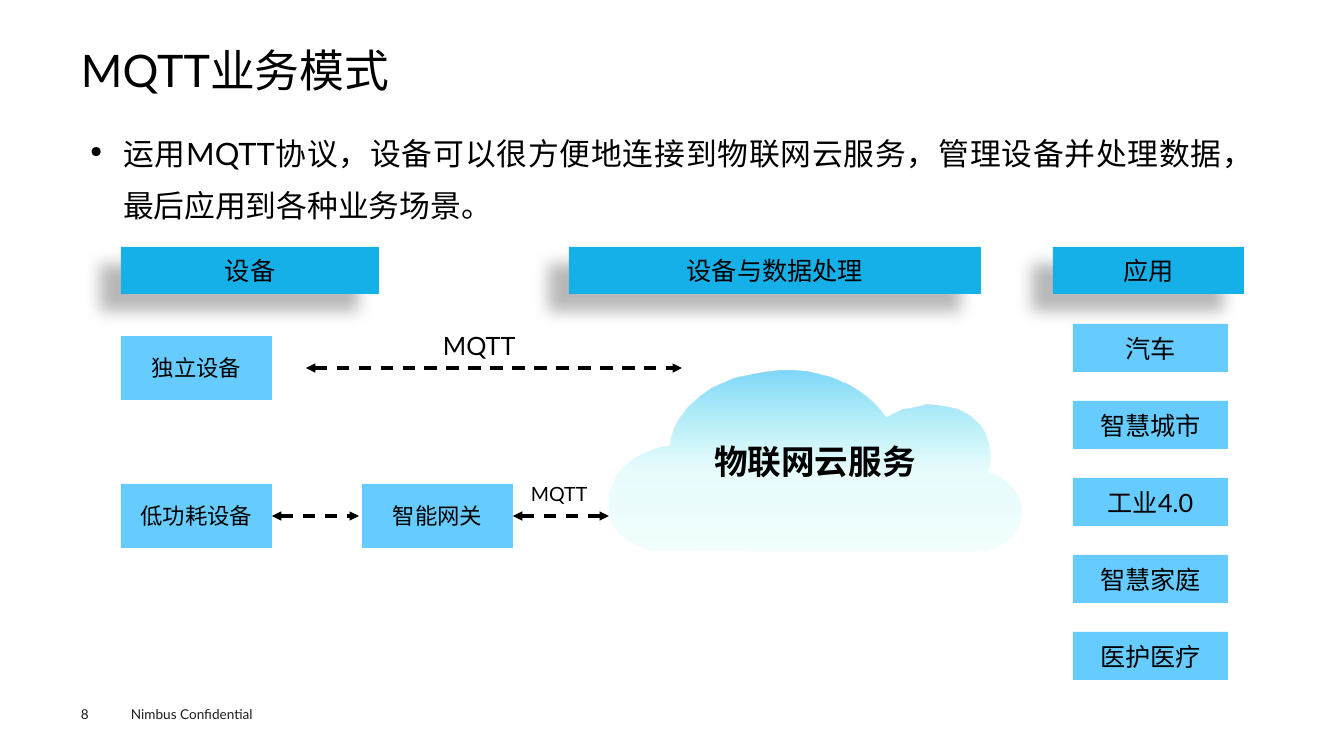
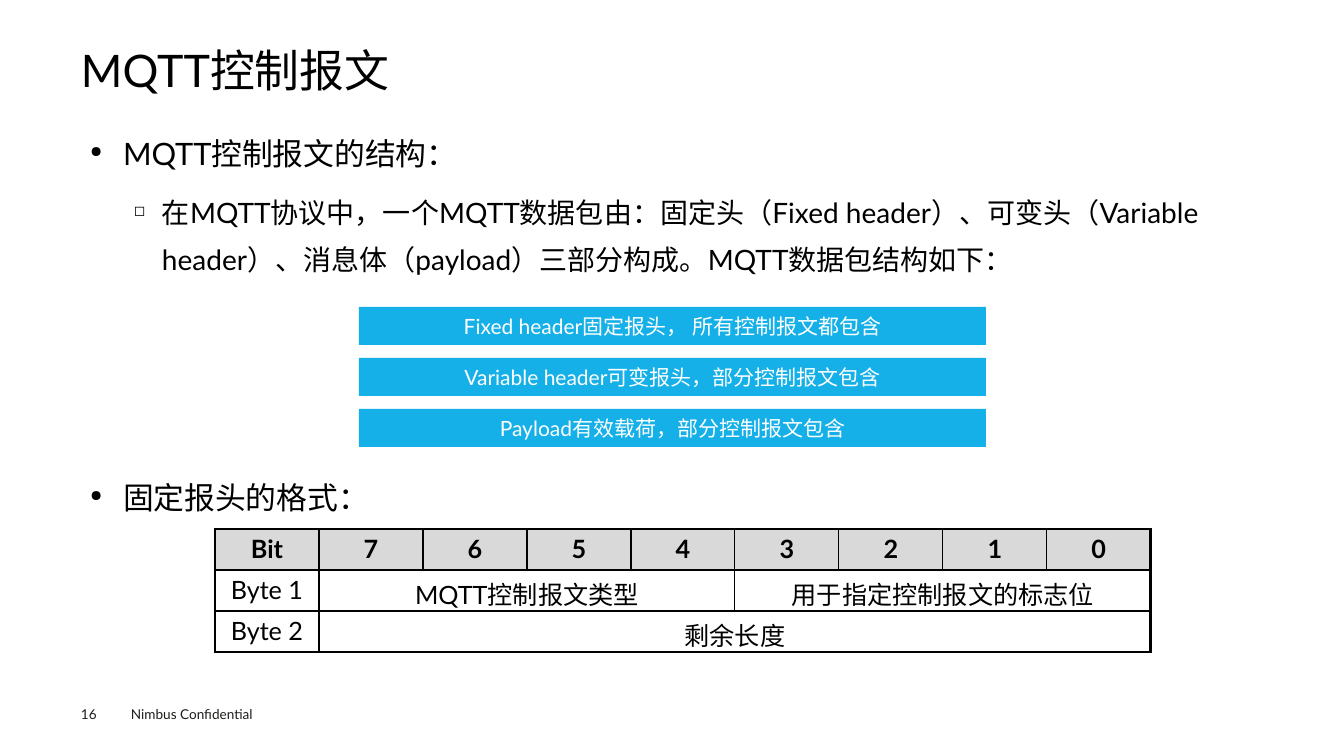
from dataclasses import dataclass

from lxml.etree import SubElement
from pptx import Presentation
from pptx.dml.color import RGBColor as RGB
from pptx.enum.dml import MSO_LINE_DASH_STYLE as Dash
from pptx.enum.shapes import MSO_CONNECTOR as Connector, MSO_SHAPE as Preset
from pptx.enum.text import MSO_ANCHOR as Anchor, MSO_AUTO_SIZE as AutoSize, PP_ALIGN as Align
from pptx.oxml.ns import qn
from pptx.util import Pt

EMU_PER_PX = 914400 / 100.8
RIGHT_SIDE = 3


def px(length):
    return round(length * EMU_PER_PX)


def add_xml(parent, tag, **attributes):
    return SubElement(parent, qn(tag), {key: str(value) for key, value in attributes.items()})


@dataclass(frozen=True)
class Theme:
    font: str = "Lato"
    ink: str = "000000"
    footer_ink: str = "1D1D1B"
    white: str = "FFFFFF"
    band: str = "15B0E8"
    node: str = "66CCFF"
    table_head: str = "D9D9D9"
    cloud_stops: tuple = ((0, "00B0F0", 50), (55, "21DFE9", 10), (100, "21DFE9", 5))
    title_size: float = 32
    cloud_size: float = 24
    bullet_size: float = 22
    sub_size: float = 20
    label_size: float = 18
    node_size: float = 16
    bar_size: float = 15
    small_size: float = 14
    footer_size: float = 9.7
    thick_line: float = 2.25
    thin_line: float = 1


class Deck:
    TITLE_ONLY = 5
    CONTENT_LEFT, CONTENT_WIDTH = 81, 1182
    # size field, left indent, hanging indent, space before, bullet, alignment
    LEVELS = (
        ("bullet_size", 33, 33, 7.9, "●", Align.JUSTIFY),
        ("sub_size", 72, 28, 7.2, "◻", Align.LEFT),
    )

    def __init__(self, theme):
        self.theme = theme
        self.prs = Presentation()
        self.prs.slide_width, self.prs.slide_height = px(1344), px(756)
        self.slide = None

    def style(self, paragraph, size, color=None, bold=False):
        font = paragraph.font
        font.name, font.size, font.bold = self.theme.font, Pt(size), bold
        font.color.rgb = RGB.from_string(color or self.theme.ink)

    def new_slide(self, title, number):
        self.slide = self.prs.slides.add_slide(self.prs.slide_layouts[self.TITLE_ONLY])
        heading = self.slide.shapes.title
        heading.left, heading.top = px(self.CONTENT_LEFT), px(49)
        heading.width, heading.height = px(self.CONTENT_WIDTH), px(53)
        frame = heading.text_frame
        frame.text = title
        frame.auto_size, frame.vertical_anchor = AutoSize.NONE, Anchor.TOP
        self.set_margins(frame, 0, 0)
        paragraph = frame.paragraphs[0]
        paragraph.alignment, paragraph.line_spacing = Align.LEFT, 0.9
        self.style(paragraph, self.theme.title_size)
        footer = dict(size=self.theme.footer_size, color=self.theme.footer_ink)
        page = self.text(str(number), 81, 706, 55, 16, **footer)
        self.set_margins(page, 0, 0)
        self.text("Nimbus Confidential", 121, 701, 161, 27, **footer)

    @staticmethod
    def set_margins(frame, side, end):
        frame.margin_left = frame.margin_right = px(side)
        frame.margin_top = frame.margin_bottom = px(end)

    def text(self, words, left, top, width, height, size, color=None):
        area = self.slide.shapes.add_textbox(px(left), px(top), px(width), px(height))
        frame = area.text_frame
        frame.word_wrap = True
        frame.text = words
        self.style(frame.paragraphs[0], size, color)
        return frame

    def bullets(self, items, top, height):
        """Add bulleted text; items are (level, words) pairs."""
        area = self.slide.shapes.add_textbox(
            px(self.CONTENT_LEFT), px(top), px(self.CONTENT_WIDTH), px(height))
        frame = area.text_frame
        frame.word_wrap = True
        self.set_margins(frame, 9, 4)
        for index, (level, words) in enumerate(items):
            size, indent, hanging, before, mark, alignment = self.LEVELS[level]
            paragraph = frame.add_paragraph() if index else frame.paragraphs[0]
            paragraph.text, paragraph.level = words, level
            paragraph.alignment, paragraph.line_spacing = alignment, 1.4
            if index:
                paragraph.space_before = Pt(before)
            properties = paragraph._p.get_or_add_pPr()
            properties.set("marL", str(px(indent)))
            properties.set("indent", str(-px(hanging)))
            add_xml(properties, "a:buSzPct", val=50000)
            add_xml(properties, "a:buChar", char=mark)
            self.style(paragraph, getattr(self.theme, size))

    def fill_with_label(self, shape, words, size, color=None, bold=False):
        shape.shadow.inherit = False
        shape.line.fill.background()
        frame = shape.text_frame
        frame.text, frame.word_wrap = words, True
        frame.vertical_anchor = Anchor.MIDDLE
        frame.paragraphs[0].alignment = Align.CENTER
        self.style(frame.paragraphs[0], size, color, bold)

    def box(self, words, left, top, width, height, fill, size, color=None):
        shape = self.slide.shapes.add_shape(
            Preset.RECTANGLE, px(left), px(top), px(width), px(height))
        shape.fill.solid()
        shape.fill.fore_color.rgb = RGB.from_string(fill)
        self.fill_with_label(shape, words, size, color)
        return shape

    def column_header(self, words, left, width):
        header = self.box(words, left, 247, width, 47, self.theme.band, self.theme.label_size)
        effects = header._element.spPr.find(qn("a:effectLst"))
        shadow = add_xml(effects, "a:outerShdw", blurRad=Pt(11.8), dist=Pt(19.7),
                         dir=141 * 60000, algn="tr", rotWithShape=0)
        color = add_xml(shadow, "a:srgbClr", val=self.theme.ink)
        add_xml(color, "a:alpha", val=28000)

    def cloud(self, words, outline):
        builder = self.slide.shapes.build_freeform(*outline[0], scale=EMU_PER_PX)
        builder.add_line_segments(outline[1:], close=True)
        shape = builder.convert_to_shape()
        shape.fill.gradient()
        shape.fill.gradient_angle = 270
        stops = shape._element.spPr.find(".//" + qn("a:gsLst"))
        for stop in list(stops):
            stops.remove(stop)
        for position, hue, opacity in self.theme.cloud_stops:
            stop = add_xml(stops, "a:gs", pos=position * 1000)
            color = add_xml(stop, "a:srgbClr", val=hue)
            add_xml(color, "a:alpha", val=opacity * 1000)
        self.fill_with_label(shape, words, self.theme.cloud_size, bold=True)

    def two_way_arrow(self, start, end, y, source=None):
        arrow = self.slide.shapes.add_connector(
            Connector.STRAIGHT, px(start), px(y), px(end), px(y))
        if source is not None:
            arrow.begin_connect(source, RIGHT_SIDE)
        line = arrow.line
        line.color.rgb = RGB.from_string(self.theme.ink)
        line.width, line.dash_style = Pt(self.theme.thick_line), Dash.DASH
        outline = arrow._element.spPr.find(qn("a:ln"))
        for tip in ("a:headEnd", "a:tailEnd"):
            add_xml(outline, tip, type="triangle")
        add_xml(arrow._element.spPr, "a:effectLst")

    def borders(self, cell, outer):
        """Draw the cell's four edges, thick on the sides named in outer."""
        properties = cell._tc.get_or_add_tcPr()
        for side in "LRTB":
            weight = self.theme.thick_line if side in outer else self.theme.thin_line
            edge = add_xml(properties, f"a:ln{side}", w=Pt(weight))
            add_xml(add_xml(edge, "a:solidFill"), "a:srgbClr", val=self.theme.ink)

    def table(self, rows, left, top, column_width, row_height):
        """Add a table; each row is a list of (words, column span) pairs."""
        columns = sum(span for _, span in rows[0])
        grid = self.slide.shapes.add_table(
            len(rows), columns, px(left), px(top),
            px(column_width * columns), px(row_height * len(rows))).table
        grid.horz_banding = False
        for column in grid.columns:
            column.width = px(column_width)
        for r, row in enumerate(rows):
            c = 0
            for words, span in row:
                sides = {"L": c == 0, "R": c + span == columns,
                         "T": r == 0, "B": r == len(rows) - 1}
                outer = [side for side, is_outer in sides.items() if is_outer]
                for offset in range(span):
                    cell = grid.cell(r, c + offset)
                    self.borders(cell, outer)
                    cell.fill.solid()
                    cell.fill.fore_color.rgb = RGB.from_string(
                        self.theme.white if r else self.theme.table_head)
                origin = grid.cell(r, c)
                if span > 1:
                    origin.merge(grid.cell(r, c + span - 1))
                origin.text = words
                paragraph = origin.text_frame.paragraphs[0]
                paragraph.alignment = Align.CENTER
                self.style(paragraph, self.theme.label_size, bold=r == 0)
                c += span


CLOUD_OUTLINE = [
    (962, 552), (653, 551), (645, 548), (637, 545), (628, 541), (619, 533), (613, 524),
    (610, 516), (609, 505), (610, 493), (613, 485), (618, 475), (623, 469), (633, 460),
    (643, 454), (654, 450), (662, 447), (671, 446), (671, 439), (674, 430), (679, 420),
    (688, 408), (699, 398), (711, 389), (722, 384), (734, 379), (747, 376), (763, 373),
    (779, 371), (793, 371), (807, 372), (820, 375), (831, 378), (841, 382), (850, 386),
    (858, 391), (870, 400), (879, 409), (886, 418), (893, 414), (902, 410), (913, 408),
    (926, 405), (939, 406), (955, 409), (962, 412), (969, 416), (979, 425), (985, 434),
    (988, 444), (990, 454), (989, 467), (987, 472), (993, 475), (1000, 478), (1007, 483),
    (1013, 489), (1018, 497), (1021, 507), (1020, 519), (1017, 528), (1012, 536),
    (1004, 543), (994, 548), (983, 551), (970, 552),
]


def build_business_model(deck):
    theme = deck.theme
    deck.new_slide("MQTT业务模式", 8)
    deck.bullets([(0, "运用MQTT协议，设备可以很方便地连接到物联网云服务，管理设备并处理数据，"
                      "最后应用到各种业务场景。")], 116, 120)
    for words, left, width in (("设备", 121, 258), ("设备与数据处理", 569, 412), ("应用", 1053, 191)):
        deck.column_header(words, left, width)
    _, low_power, gateway = [
        deck.box(words, left, top, 151, 64, theme.node, theme.node_size)
        for words, left, top in (("独立设备", 121, 336), ("低功耗设备", 121, 484), ("智能网关", 362, 484))
    ]
    deck.cloud("物联网云服务", CLOUD_OUTLINE)
    for index, words in enumerate(("汽车", "智慧城市", "工业4.0", "智慧家庭", "医护医疗")):
        deck.box(words, 1073, 324 + 77 * index, 155, 48, theme.node, theme.label_size)
    deck.two_way_arrow(306, 682, 368)
    deck.two_way_arrow(272, 359, 516, source=low_power)
    deck.two_way_arrow(513, 609, 516, source=gateway)
    deck.text("MQTT", 433, 325, 218, 53, theme.label_size)
    deck.text("MQTT", 521, 477, 218, 53, theme.small_size)


def build_control_packet(deck):
    theme = deck.theme
    deck.new_slide("MQTT控制报文", 16)
    deck.bullets([
        (0, "MQTT控制报文的结构："),
        (1, "在MQTT协议中，一个MQTT数据包由：固定头（Fixed header）、可变头（Variable header）、"
            "消息体（payload）三部分构成。MQTT数据包结构如下："),
    ], 116, 180)
    deck.bullets([(0, "固定报头的格式：")], 460, 60)
    parts = ("Fixed header固定报头， 所有控制报文都包含",
             "Variable header可变报头，部分控制报文包含",
             "Payload有效载荷，部分控制报文包含")
    for index, words in enumerate(parts):
        deck.box(words, 359, 307 + 51 * index, 627, 38, theme.band, theme.bar_size, theme.white)
    deck.table([
        [("Bit", 1)] + [(str(bit), 1) for bit in range(7, -1, -1)],
        [("Byte 1", 1), ("MQTT控制报文类型", 4), ("用于指定控制报文的标志位", 4)],
        [("Byte 2", 1), ("剩余长度", 8)],
    ], 215, 529, 104, 41)


def main():
    deck = Deck(Theme())
    build_business_model(deck)
    build_control_packet(deck)
    deck.prs.save("out.pptx")


if __name__ == "__main__":
    main()
